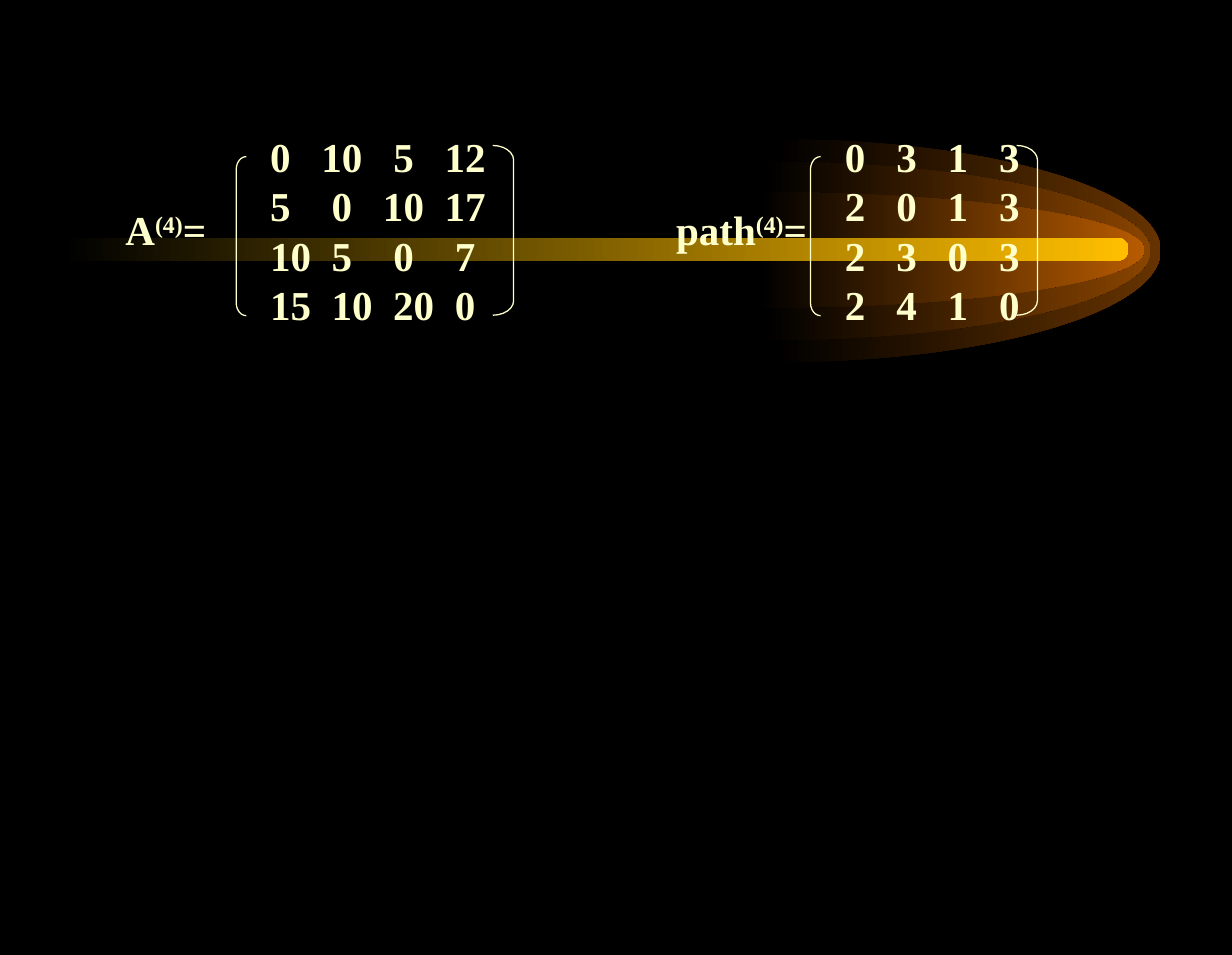
from dataclasses import dataclass

from lxml import etree
from pptx import Presentation
from pptx.dml.color import RGBColor
from pptx.enum.shapes import MSO_SHAPE
from pptx.enum.text import PP_ALIGN
from pptx.oxml.ns import qn
from pptx.util import Cm, Pt

ROUND = MSO_SHAPE.ROUNDED_RECTANGLE
LEFT = MSO_SHAPE.LEFT_BRACKET
RIGHT = MSO_SHAPE.RIGHT_BRACKET
CENTER = PP_ALIGN.CENTER


@dataclass(frozen=True)
class Theme:
    dark = RGBColor.from_string("000000")
    cream = RGBColor.from_string("FFFFCC")
    rings = [RGBColor.from_string(c) for c in ("663300", "894400", "B75B00")]
    beam = RGBColor.from_string("FFBF00")
    size = Pt(24)
    pitch = Pt(28.8)
    line = Pt(0.75)


theme = Theme()
FONT = {"name": "Times New Roman", "size": theme.size, "bold": True}


def fade(shape, color):
    """Fill a shape from dark at the left to color at the right."""
    shape.shadow.inherit = False
    shape.line.fill.background()
    shape.fill.gradient()
    shape.fill.gradient_angle = 0
    for stop, tone in zip(shape.fill.gradient_stops, (theme.dark, color)):
        stop.color.rgb = tone


def write(par, text):
    """Add a run in the slide's type and return its font."""
    run = par.add_run()
    run.text = text
    for key, value in FONT.items():
        setattr(run.font, key, value)
    run.font.color.rgb = theme.cream
    par.line_spacing = theme.pitch
    return run.font


deck = Presentation()
deck.slide_width, deck.slide_height = Cm(25.4), Cm(19.69)
slide = deck.slides.add_slide(deck.slide_layouts[6])
slide.background.fill.solid()
slide.background.fill.fore_color.rgb = theme.dark
shapes = slide.shapes

# Comet: three half ellipses and a beam
rings = [(15.98, 2.87, 4.6), (15.77, 3.33, 3.69), (15.65, 3.96, 2.39)]
reach, bow = 7.95, 0.55
for (left, top, high), color in zip(rings, theme.rings):
    half = high / 2
    path = shapes.build_freeform(Cm(left), Cm(top), scale=1.0)
    path.add_line_segments([(Cm(left + reach), Cm(top + half)),
                            (Cm(left), Cm(top + high))], close=True)
    ring = path.convert_to_shape()
    # Bend the two straight sides into quarter ellipses
    curves = [
        [(bow * reach, 0), (reach, half * (1 - bow)), (reach, half)],
        [(reach, half * (1 + bow)), (bow * reach, high), (0, high)],
    ]
    for side, curve in zip(list(ring._element.iter(qn("a:lnTo"))), curves):
        bend = etree.Element(qn("a:cubicBezTo"))
        for x, y in curve:
            etree.SubElement(bend, qn("a:pt"), x=str(Cm(x)), y=str(Cm(y)))
        side.getparent().replace(side, bend)
    fade(ring, color)

beam = shapes.add_shape(ROUND, Cm(1.27), Cm(4.9), Cm(22), Cm(0.48))
beam.adjustments[0] = 0.5
fade(beam, theme.beam)

# Each matrix: name, lefts of label, open bracket, numbers and close bracket,
# widths of label and numbers, rows with the centres of columns 2 to 4
wide, narrow = (1.48, 2.75, 4.02), (1.27, 2.33, 3.39)
sets = [
    ("A", (2.34, 4.87, 5.32, 10.16), (2.16, 4.95), [
        ((0, 10, 5, 12), wide),
        ((5, 0, 10, 17), wide),
        ((10, 5, 0, 7), wide),
        ((15, 10, 20, 0), (1.69, 2.96, 4.02)),
    ]),
    ("path", (13.69, 16.71, 17.17, 20.96), (3.2, 4.09), [
        ((0, 3, 1, 3), narrow),
        ((2, 0, 1, 3), narrow),
        ((2, 3, 0, 3), narrow),
        ((2, 4, 1, 0), narrow),
    ]),
]
for name, (label_x, open_x, grid_x, close_x), (label_w, grid_w), rows in sets:
    label = shapes.add_textbox(Cm(label_x), Cm(4.09), Cm(label_w), Cm(1.27))
    frame = label.text_frame
    frame.word_wrap = False
    frame.margin_left = frame.margin_right = 0
    par = frame.paragraphs[0]
    par.alignment = CENTER
    write(par, name)
    write(par, "(4)")._element.set("baseline", "30000")
    write(par, "=")

    grid = shapes.add_textbox(Cm(grid_x), Cm(2.59), Cm(grid_w), Cm(4.32))
    frame = grid.text_frame
    frame.word_wrap = True
    frame.margin_right = 0
    for i, (row, stops) in enumerate(rows):
        par = frame.add_paragraph() if i else frame.paragraphs[0]
        tabs = etree.SubElement(par._p.get_or_add_pPr(), qn("a:tabLst"))
        for stop in stops:
            etree.SubElement(tabs, qn("a:tab"), pos=str(Cm(stop)), algn="ctr")
        write(par, "\t".join(map(str, row)))

    for kind, left, top, width, high, bend in (
        (LEFT, open_x, 3.23, 0.21, 3.28, 1.28),
        (RIGHT, close_x, 3, 0.43, 3.5, 0.7),
    ):
        mark = shapes.add_shape(kind, Cm(left), Cm(top), Cm(width), Cm(high))
        mark.adjustments[0] = bend
        mark.shadow.inherit = False
        mark.fill.background()
        mark.line.color.rgb = theme.cream
        mark.line.width = theme.line

deck.save("out.pptx")
